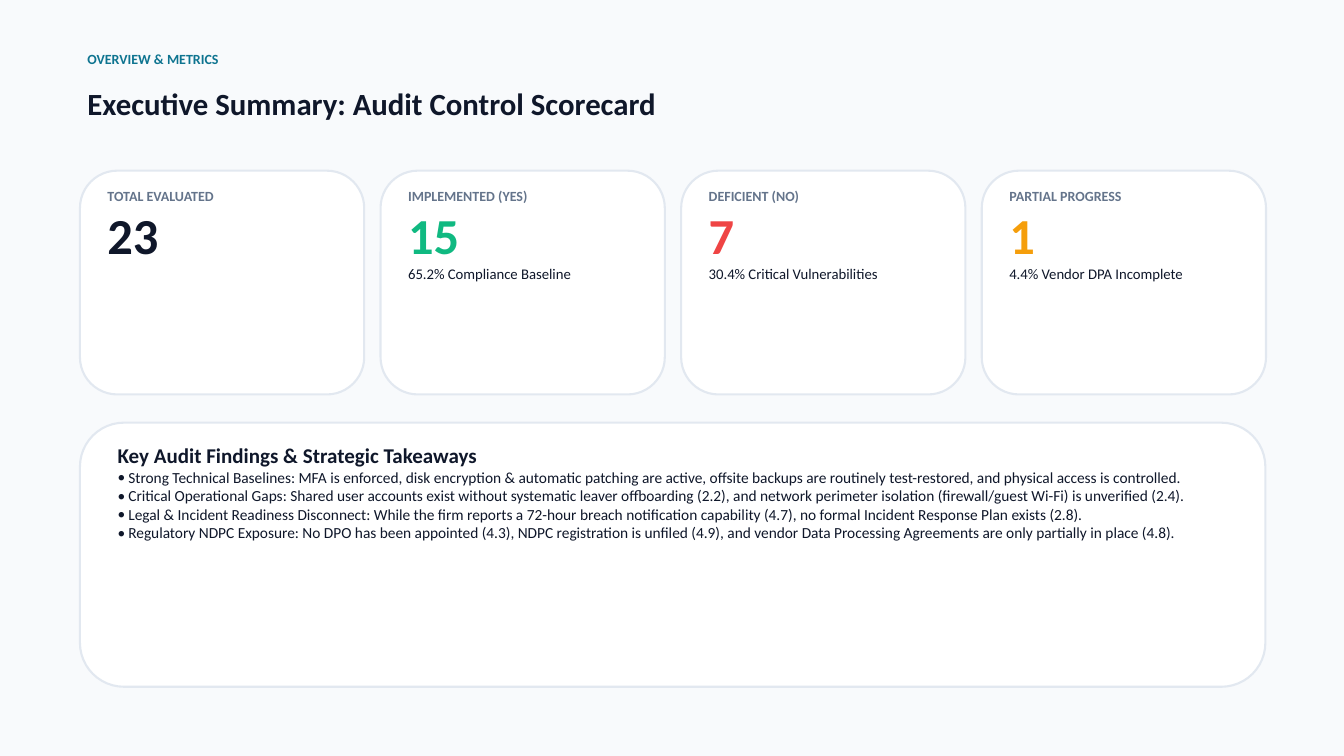
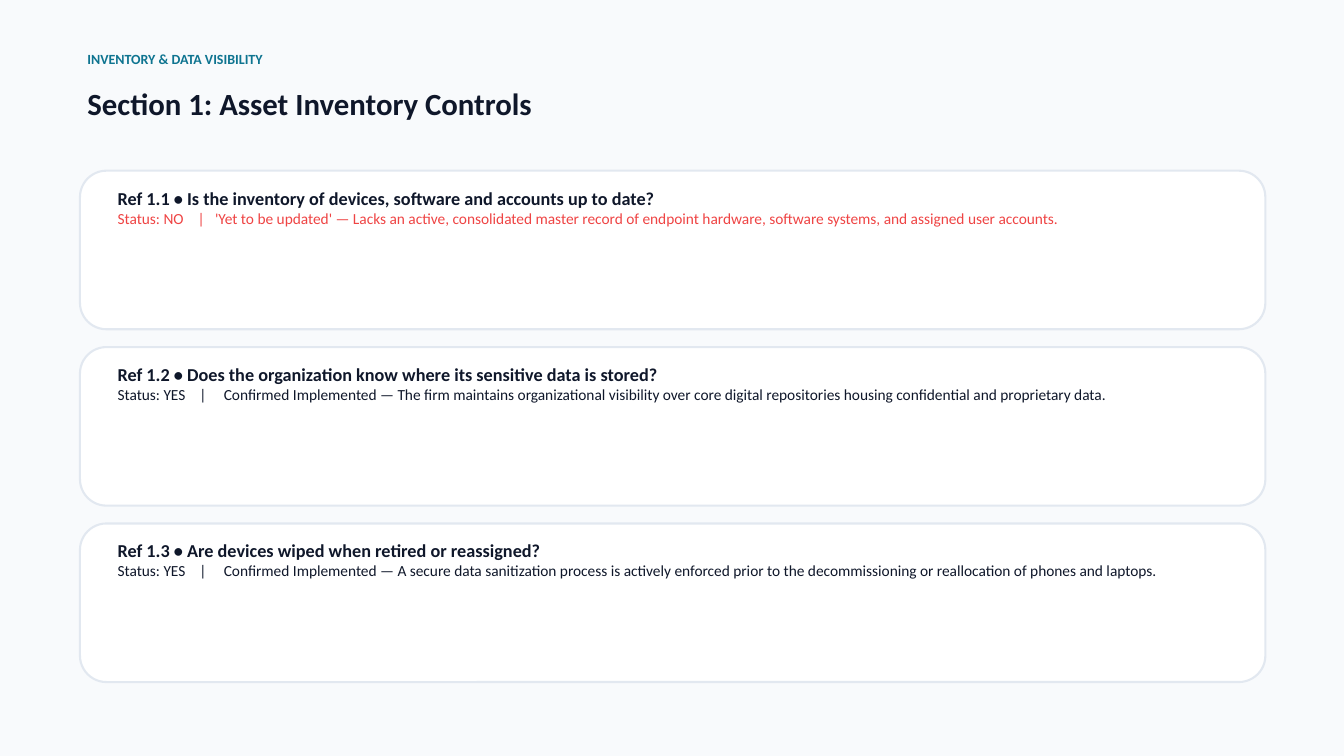
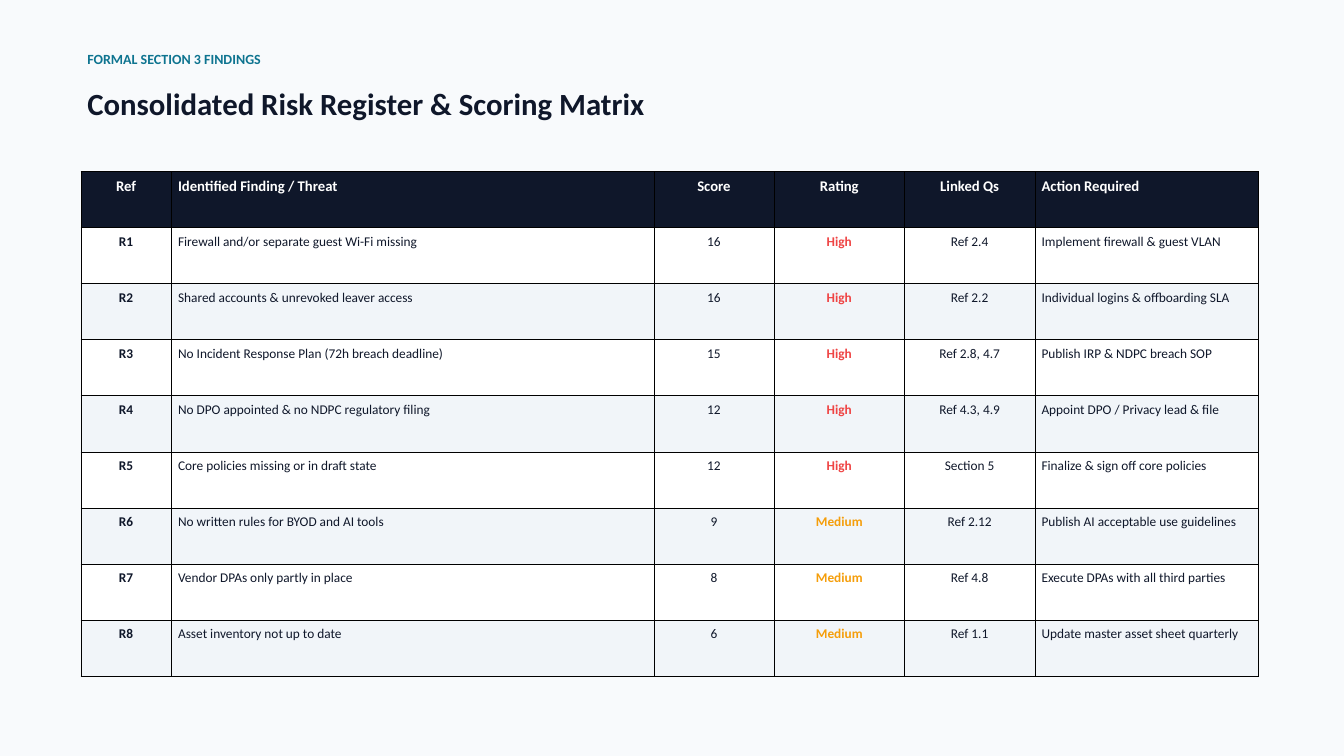
from lxml.etree import SubElement
from pptx import Presentation
from pptx.dml.color import RGBColor
from pptx.enum.shapes import MSO_SHAPE
from pptx.enum.text import MSO_ANCHOR, MSO_AUTO_SIZE, PP_ALIGN
from pptx.oxml.ns import qn
from pptx.util import Inches, Pt

FONT = "Calibri"
PAPER, WHITE, BAND, EDGE = "F8FAFC", "FFFFFF", "F1F5F9", "E2E8F0"
INK, MUTED, TEAL = "0F172A", "64748B", "0E7490"
GREEN, RED, AMBER = "10B981", "EF4444", "F59E0B"

TITLE_LAYOUT, LIST_LAYOUT = 5, 1
LEFT, TOP, WIDTH = 1.19, 2.54, 17.64

SCORES = [
    ("TOTAL EVALUATED", "23", INK, None),
    ("IMPLEMENTED (YES)", "15", GREEN, "65.2% Compliance Baseline"),
    ("DEFICIENT (NO)", "7", RED, "30.4% Critical Vulnerabilities"),
    ("PARTIAL PROGRESS", "1", AMBER, "4.4% Vendor DPA Incomplete"),
]
TAKEAWAYS = [
    "Strong Technical Baselines: MFA is enforced, disk encryption & automatic patching are active, "
    "offsite backups are routinely test-restored, and physical access is controlled.",
    "Critical Operational Gaps: Shared user accounts exist without systematic leaver offboarding (2.2), "
    "and network perimeter isolation (firewall/guest Wi-Fi) is unverified (2.4).",
    "Legal & Incident Readiness Disconnect: While the firm reports a 72-hour breach notification "
    "capability (4.7), no formal Incident Response Plan exists (2.8).",
    "Regulatory NDPC Exposure: No DPO has been appointed (4.3), NDPC registration is unfiled (4.9), "
    "and vendor Data Processing Agreements are only partially in place (4.8).",
]
CONTROLS = [
    ("Ref 1.1 • Is the inventory of devices, software and accounts up to date?", "NO",
     "'Yet to be updated' — Lacks an active, consolidated master record of endpoint hardware, "
     "software systems, and assigned user accounts."),
    ("Ref 1.2 • Does the organization know where its sensitive data is stored?", "YES",
     "Confirmed Implemented — The firm maintains organizational visibility over core digital "
     "repositories housing confidential and proprietary data."),
    ("Ref 1.3 • Are devices wiped when retired or reassigned?", "YES",
     "Confirmed Implemented — A secure data sanitization process is actively enforced prior to "
     "the decommissioning or reallocation of phones and laptops."),
]
# Colour of the status line, and the points added before and after its bar
STATUS_STYLE = {"NO": (RED, (11.2, 7.5)), "YES": (INK, (11.2, 14.9))}

RISK_HEADER = ("Ref", "Identified Finding / Threat", "Score", "Rating", "Linked Qs", "Action Required")
RISK_WIDTHS = (1.35, 7.18, 1.79, 1.94, 1.94, 3.33)
LEFT_ALIGNED = ("Identified Finding / Threat", "Action Required")
RISKS = [
    ("R1", "Firewall and/or separate guest Wi-Fi missing", "16", "High", "Ref 2.4",
     "Implement firewall & guest VLAN"),
    ("R2", "Shared accounts & unrevoked leaver access", "16", "High", "Ref 2.2",
     "Individual logins & offboarding SLA"),
    ("R3", "No Incident Response Plan (72h breach deadline)", "15", "High", "Ref 2.8, 4.7",
     "Publish IRP & NDPC breach SOP"),
    ("R4", "No DPO appointed & no NDPC regulatory filing", "12", "High", "Ref 4.3, 4.9",
     "Appoint DPO / Privacy lead & file"),
    ("R5", "Core policies missing or in draft state", "12", "High", "Section 5",
     "Finalize & sign off core policies"),
    ("R6", "No written rules for BYOD and AI tools", "9", "Medium", "Ref 2.12",
     "Publish AI acceptable use guidelines"),
    ("R7", "Vendor DPAs only partly in place", "8", "Medium", "Ref 4.8",
     "Execute DPAs with all third parties"),
    ("R8", "Asset inventory not up to date", "6", "Medium", "Ref 1.1",
     "Update master asset sheet quarterly"),
]
RATING_COLORS = {"High": RED, "Medium": AMBER}


def rgb(color):
    return RGBColor.from_string(color)


def spread(start, total, size, count):
    """Starts of equally spaced items that fill a total length."""
    return [start + i * (total - size) / (count - 1) for i in range(count)]


def write(frame, *pieces, size, color=INK, bold=False, align=PP_ALIGN.LEFT, bullet=False, gaps=()):
    """Add a paragraph; its pieces are joined by spaces widened by the points in gaps."""
    paragraph = frame.paragraphs[-1]
    if paragraph.runs:
        paragraph = frame.add_paragraph()
    paragraph.alignment = align
    paragraph.line_spacing = Pt(size * 1.2)
    paragraph.space_before = Pt(0)
    properties = paragraph._p.get_or_add_pPr()
    indent = Inches(0.16) if bullet else 0
    properties.set("marL", str(indent))
    properties.set("indent", str(-indent))
    if bullet:
        SubElement(properties, qn("a:buFont"), typeface=FONT)
        SubElement(properties, qn("a:buChar"), char="•")
    else:
        SubElement(properties, qn("a:buNone"))

    parts = [(pieces[0], 0)]
    for gap, piece in zip(gaps, pieces[1:]):
        parts += [(" ", gap), (piece, 0)]
    for text, spacing in parts:
        run = paragraph.add_run()
        run.text = text
        font = run.font
        font.name, font.size, font.bold = FONT, Pt(size), bold
        font.color.rgb = rgb(color)
        if spacing:
            run._r.get_or_add_rPr().set("spc", str(round(spacing * 100)))


class Deck:
    def __init__(self):
        self.presentation = Presentation()
        self.presentation.slide_width = Inches(20)
        self.presentation.slide_height = Inches(11.25)
        background = self.presentation.slide_master.background.fill
        background.solid()
        background.fore_color.rgb = rgb(PAPER)
        self.slide = None

    def start(self, section, heading, layout=TITLE_LAYOUT):
        self.slide = self.presentation.slides.add_slide(self.presentation.slide_layouts[layout])
        title = self.place(self.slide.shapes.title, 1.3, 1.26, 17.36, 0.95)
        write(title, heading, size=33, bold=True)
        write(self.text_box(1.3, 0.75, 17.36, 0.47), section, size=15, color=TEAL, bold=True)

    def place(self, shape, left, top, width, height):
        """Position a text shape, strip its margins and return its frame."""
        shape.left, shape.top = Inches(left), Inches(top)
        shape.width, shape.height = Inches(width), Inches(height)
        frame = shape.text_frame
        frame.margin_left = frame.margin_top = frame.margin_right = frame.margin_bottom = 0
        frame.word_wrap = True
        frame.auto_size = MSO_AUTO_SIZE.NONE
        frame.vertical_anchor = MSO_ANCHOR.TOP
        return frame

    def text_box(self, *box):
        return self.place(self.slide.shapes.add_textbox(0, 0, 0, 0), *box)

    def list_body(self, *box):
        """Bring the body placeholder to the front and return its frame."""
        body = self.slide.placeholders[1]
        body.element.getparent().append(body.element)
        return self.place(body, *box)

    def card(self, *box):
        card = self.slide.shapes.add_shape(MSO_SHAPE.ROUNDED_RECTANGLE, *map(Inches, box))
        card.shadow.inherit = False
        card.fill.solid()
        card.fill.fore_color.rgb = rgb(WHITE)
        card.line.color.rgb = rgb(EDGE)
        card.line.width = Pt(2.25)

    def table(self, left, top, widths, height, row_count):
        table = self.slide.shapes.add_table(
            row_count, len(widths), Inches(left), Inches(top), Inches(sum(widths)), Inches(height)).table
        table.first_row = table.horz_banding = False
        for column, width in zip(table.columns, widths):
            column.width = Inches(width)
        return table

    def cell(self, cell, text, fill, **style):
        cell.margin_left = cell.margin_right = cell.margin_top = cell.margin_bottom = Inches(0.1)
        properties = cell._tc.get_or_add_tcPr()
        for side in ("lnL", "lnR", "lnT", "lnB"):
            border = SubElement(properties, qn(f"a:{side}"), w=str(Pt(0.37)))
            SubElement(SubElement(border, qn("a:solidFill")), qn("a:srgbClr"), val="000000")
        cell.fill.solid()
        cell.fill.fore_color.rgb = rgb(fill)
        write(cell.text_frame, text, **style)


def scorecard_slide(deck):
    deck.start("OVERVIEW & METRICS", "Executive Summary: Audit Control Scorecard", LIST_LAYOUT)
    for left, (label, count, color, remark) in zip(spread(LEFT, 17.65, 4.23, len(SCORES)), SCORES):
        deck.card(left, TOP, 4.23, 3.33)
        score = deck.text_box(left + 0.41, TOP + 0.25, 3.4, 2.79)
        write(score, label, size=15, color=MUTED, bold=True)
        write(score, count, size=54, color=color, bold=True)
        if remark:
            write(score, remark, size=15.75)

    deck.card(LEFT, 6.29, WIDTH, 3.93)
    findings = deck.list_body(LEFT + 0.56, 6.59, 16.46, 3.27)
    write(findings, "Key Audit Findings & Strategic Takeaways", size=22.5, bold=True)
    for takeaway in TAKEAWAYS:
        write(findings, takeaway, size=16.5, bullet=True)


def inventory_slide(deck):
    deck.start("INVENTORY & DATA VISIBILITY", "Section 1: Asset Inventory Controls")
    for top, (question, status, comment) in zip(spread(TOP, 7.61, 2.36, len(CONTROLS)), CONTROLS):
        deck.card(LEFT, top, WIDTH, 2.36)
        control = deck.text_box(LEFT + 0.56, top + 0.24, 16.46, 0.65)
        color, gaps = STATUS_STYLE[status]
        write(control, question, size=19.5, bold=True)
        write(control, f"Status: {status}", "|", comment, size=16.5, color=color, gaps=gaps)


def risk_slide(deck):
    deck.start("FORMAL SECTION 3 FINDINGS", "Consolidated Risk Register & Scoring Matrix")
    rows = [RISK_HEADER] + RISKS
    register = deck.table(1.2, 2.55, RISK_WIDTHS, 7.51, len(rows))
    for r, row in enumerate(rows):
        for c, (heading, text) in enumerate(zip(RISK_HEADER, row)):
            align = PP_ALIGN.LEFT if heading in LEFT_ALIGNED else PP_ALIGN.CENTER
            if r == 0:
                fill, style = INK, dict(size=15.75, color=WHITE, bold=True)
            else:
                fill = WHITE if r % 2 else BAND
                style = dict(size=14.25, color=RATING_COLORS.get(text, INK),
                             bold=heading in ("Ref", "Rating"))
            deck.cell(register.cell(r, c), text, fill, align=align, **style)


def main():
    deck = Deck()
    scorecard_slide(deck)
    inventory_slide(deck)
    risk_slide(deck)
    deck.presentation.save("out.pptx")


if __name__ == "__main__":
    main()
